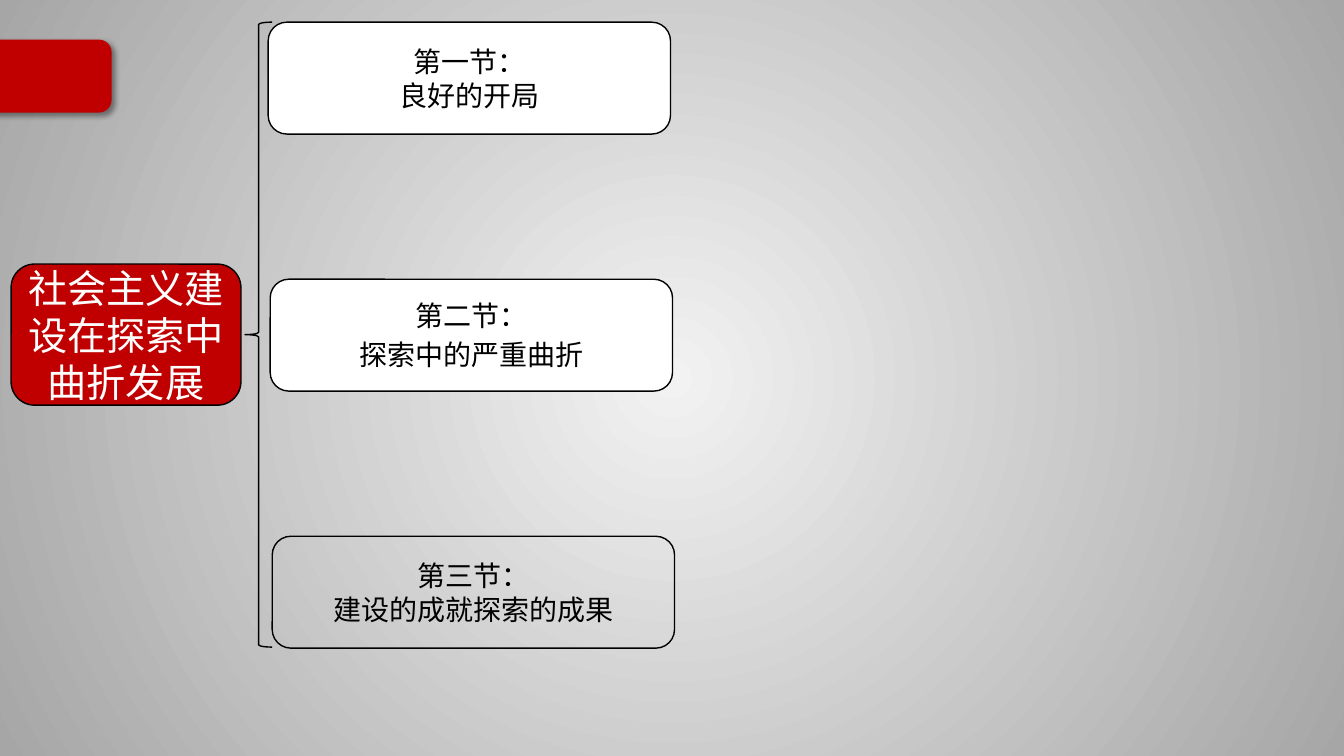
from dataclasses import dataclass

from lxml.etree import SubElement
from pptx import Presentation
from pptx.dml.color import RGBColor
from pptx.enum.shapes import MSO_SHAPE
from pptx.enum.text import MSO_ANCHOR, PP_ALIGN
from pptx.oxml.ns import qn
from pptx.shapes.autoshape import Shape
from pptx.slide import Slide
from pptx.util import Inches, Pt

FONT = "Noto Sans CJK SC"
RED, BLACK, WHITE = "C00000", "000000", "FFFFFF"
FRAME_FORMAT = {"word_wrap": True, "vertical_anchor": MSO_ANCHOR.MIDDLE}


@dataclass
class Block:
    left: float
    top: float
    width: float
    height: float
    lines: tuple[str, ...] = ()
    fill: str | None = None
    border: str = BLACK
    text_color: str = BLACK
    size: int = 20
    gap: int = 0
    preset: MSO_SHAPE = MSO_SHAPE.ROUNDED_RECTANGLE


def rgb(value: str) -> RGBColor:
    return RGBColor.from_string(value)


def paint_background(slide: Slide) -> None:
    fill = slide.background.fill
    fill.gradient()
    for stop, color, position in zip(fill.gradient_stops, ("F2F2F2", "A6A6A6"), (0, 1)):
        stop.color.rgb = rgb(color)
        stop.position = position
    gradient = slide.element.find(".//" + qn("a:gradFill"))
    gradient.remove(gradient.find(qn("a:lin")))
    circle = SubElement(gradient, qn("a:path"), {"path": "circle"})
    SubElement(circle, qn("a:fillToRect"), dict.fromkeys("ltrb", "50000"))


def write_lines(shape: Shape, block: Block) -> None:
    frame = shape.text_frame
    for name, value in FRAME_FORMAT.items():
        setattr(frame, name, value)
    for index, line in enumerate(block.lines):
        paragraph = frame.paragraphs[0] if index == 0 else frame.add_paragraph()
        paragraph.alignment = PP_ALIGN.CENTER
        if index and block.gap:
            paragraph.space_before = Pt(block.gap)
        run = paragraph.add_run()
        run.text = line
        for name, value in {"size": Pt(block.size), "name": FONT}.items():
            setattr(run.font, name, value)
        run.font.color.rgb = rgb(block.text_color)
        SubElement(run.font._element, qn("a:ea"), {"typeface": FONT})


def draw_block(slide: Slide, block: Block) -> Shape:
    box = map(Inches, (block.left, block.top, block.width, block.height))
    shape = slide.shapes.add_shape(block.preset, *box)
    shape.shadow.inherit = False
    if block.fill:
        shape.fill.solid()
        shape.fill.fore_color.rgb = rgb(block.fill)
    else:
        shape.fill.background()
    shape.line.color.rgb = rgb(block.border)
    shape.line.width = Pt(1)
    write_lines(shape, block)
    return shape


def cast_shadow(shape: Shape) -> None:
    effects = shape.element.spPr.find(qn("a:effectLst"))
    shadow = SubElement(effects, qn("a:outerShdw"), {
        "blurRad": str(Pt(4)), "dist": str(Pt(3)), "dir": str(45 * 60000),
        "algn": "tl", "rotWithShape": "0",
    })
    color = SubElement(shadow, qn("a:srgbClr"), {"val": BLACK})
    SubElement(color, qn("a:alpha"), {"val": "40000"})


def main() -> None:
    presentation = Presentation()
    presentation.slide_width = Inches(13.33)
    presentation.slide_height = Inches(7.5)
    slide = presentation.slides.add_slide(presentation.slide_layouts[6])
    paint_background(slide)

    cast_shadow(draw_block(slide, Block(-0.18, 0.4, 1.28, 0.71, fill=RED, border=RED)))
    draw_block(slide, Block(0.11, 2.62, 2.28, 1.4, ("社会主义建设在探索中曲折发展",),
                            RED, text_color=WHITE, size=28))
    draw_block(slide, Block(2.43, 0.22, 0.27, 6.2, preset=MSO_SHAPE.LEFT_BRACE))

    sections = (
        (("第一节：", "良好的开局"), WHITE, 0),
        (("第二节：", "探索中的严重曲折"), WHITE, 4),
        (("第三节：", "建设的成就探索的成果"), None, 0),
    )
    for row, (lines, fill, gap) in enumerate(sections):
        draw_block(slide, Block(2.66 + 0.02 * row, 0.22 + 2.55 * row, 3.99, 1.11,
                                lines, fill, gap=gap))

    presentation.save("out.pptx")


if __name__ == "__main__":
    main()
